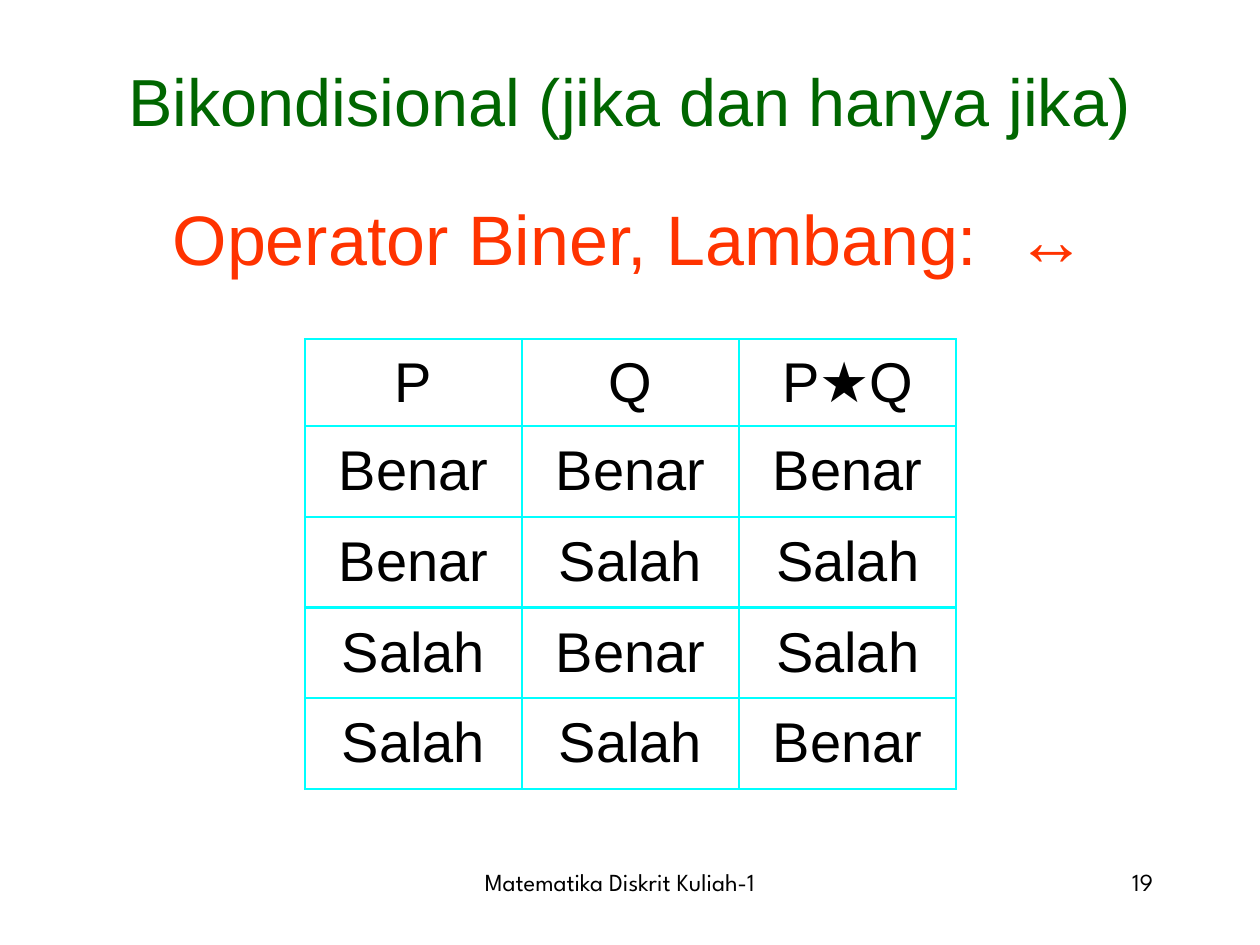
"""Build the truth table slide for the biconditional operator."""
from lxml.etree import SubElement as Sub
from pptx import Presentation
from pptx.dml.color import RGBColor as Rgb
from pptx.enum.text import MSO_ANCHOR as Anchor, PP_ALIGN as Align
from pptx.oxml.ns import qn
from pptx.util import Inches, Pt

HUES = {"title": "006600", "lead": "FF3300", "text": "000000", "line": "00FFFF"}
WIDE, HIGH = Inches(10), Inches(7.5)
TITLE = "Bikondisional (jika dan hanya jika)"
LEAD = ["Operator Biner, Lambang:", " ", "↔"]
ROWS = [
    ("P", "Q", "P★Q"),
    ("Benar", "Benar", "Benar"),
    ("Benar", "Salah", "Salah"),
    ("Salah", "Benar", "Salah"),
    ("Salah", "Salah", "Benar"),
]
BOLD = ("↔", "★")
SPOTS = {
    "title": (0.075, 0.056, 0.85, 0.1),
    "lead": (0.058, 0.2, 0.883, 0.123),
    "table": (0.242, 0.359, 0.517, 0.476),
    "foot": (0.267, 0.911, 0.45, 0.067),
    "page": (0.717, 0.911, 0.208, 0.067),
}
HEAD = 0.69
FORMS = {
    "title": {"size": Pt(38), "name": "Arial"},
    "lead": {"size": Pt(40), "name": "Arial"},
    "cell": {"size": Pt(32), "name": "Arial"},
    "foot": {"size": Pt(14), "name": "League Spartan"},
}


def place(key):
    """Turn shares of the slide into lengths."""
    x, y, w, h = SPOTS[key]
    return int(x * WIDE), int(y * HIGH), int(w * WIDE), int(h * HIGH)


def write(frame, parts, form, hue="text", align=Align.CENTER, anchor=Anchor.TOP):
    """Fill a text frame with one paragraph of runs."""
    frame.word_wrap, frame.vertical_anchor = True, anchor
    para = frame.paragraphs[0]
    para.alignment = align
    for part in parts:
        run = para.add_run()
        run.text = part
        for name, value in {**FORMS[form], "bold": part in BOLD}.items():
            setattr(run.font, name, value)
        run.font.color.rgb = Rgb.from_string(HUES[hue])
    return para


def edge(cell):
    """Draw the four borders of a cell."""
    props = cell._tc.get_or_add_tcPr()
    for i, side in enumerate(("lnL", "lnR", "lnT", "lnB")):
        line = Sub(props, qn("a:" + side), w=str(Pt(1.5)))
        Sub(Sub(line, qn("a:solidFill")), qn("a:srgbClr"), val=HUES["line"])
        props.insert(i, line)


def grid(slide):
    """Add the truth table."""
    x, y, w, h = place("table")
    table = slide.shapes.add_table(len(ROWS), len(ROWS[0]), x, y, w, h).table
    table.first_row = table.horz_banding = False
    for col in table.columns:
        col.width = w // len(ROWS[0])
    for i, row in enumerate(table.rows):
        row.height = Inches(HEAD) if i == 0 else (h - Inches(HEAD)) // (len(ROWS) - 1)
        for cell, text in zip(row.cells, ROWS[i]):
            parts = list(text) if "★" in text else [text]
            write(cell.text_frame, parts, "cell")
            cell.vertical_anchor = Anchor.MIDDLE
            cell.fill.background()
            edge(cell)


def main():
    """Build and save the slide."""
    deck = Presentation()
    deck.slide_width, deck.slide_height = WIDE, HIGH
    slide = deck.slides.add_slide(deck.slide_layouts[5])
    title = slide.shapes.title
    title.left, title.top, title.width, title.height = place("title")
    write(title.text_frame, [TITLE], "title", "title", anchor=Anchor.MIDDLE)
    box = slide.shapes.add_textbox(*place("lead"))
    para = write(box.text_frame, LEAD, "lead", "lead")
    para.runs[1].font._element.set("spc", "1100")
    grid(slide)
    for key, text, align in (
        ("foot", "Matematika Diskrit Kuliah-1", Align.CENTER),
        ("page", "19", Align.RIGHT),
    ):
        box = slide.shapes.add_textbox(*place(key))
        write(box.text_frame, [text], "foot", align=align)
    deck.save("out.pptx")


if __name__ == "__main__":
    main()
